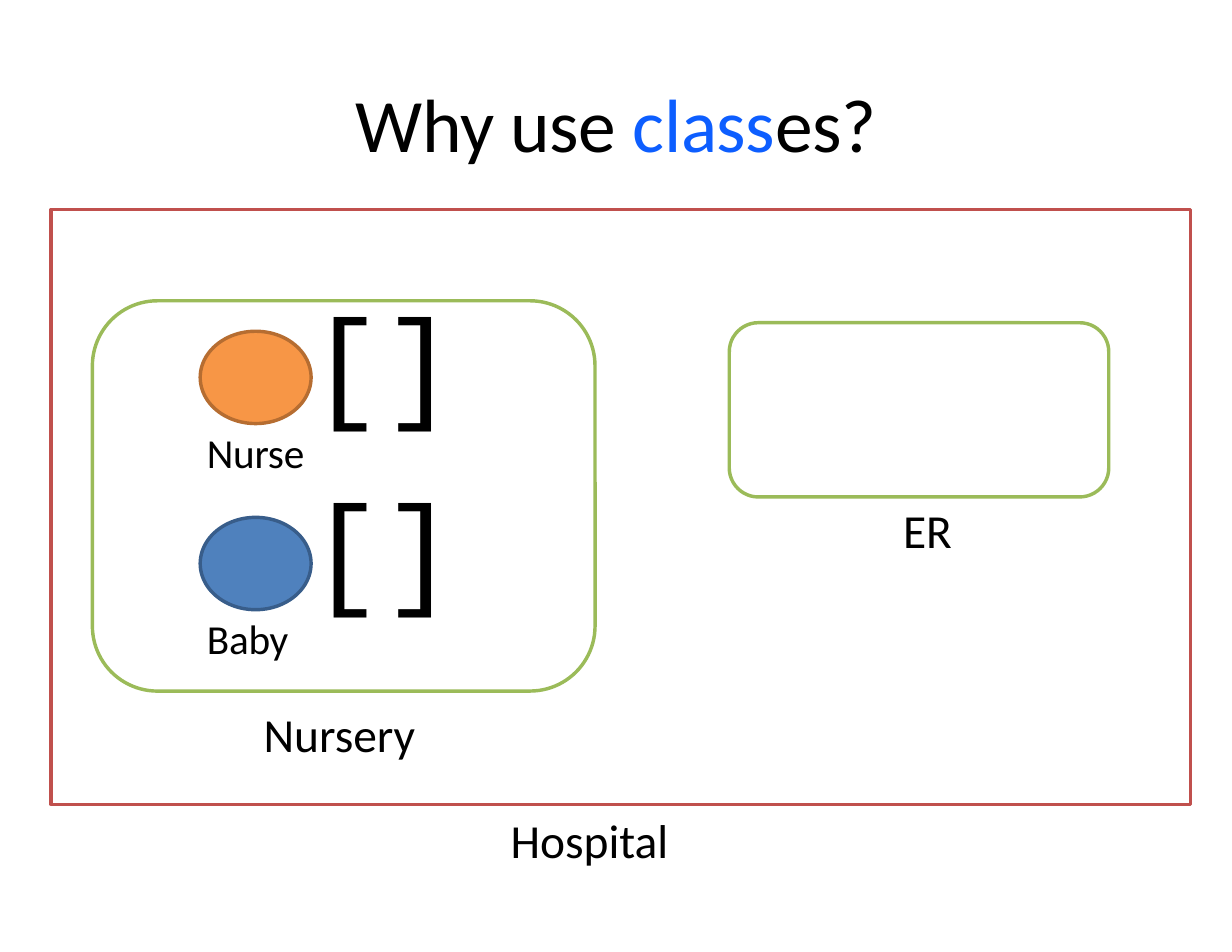
from dataclasses import dataclass

from pptx import Presentation
from pptx.dml.color import RGBColor
from pptx.enum.shapes import MSO_SHAPE
from pptx.enum.text import MSO_ANCHOR, PP_ALIGN
from pptx.util import Inches, Pt

RECTANGLE = MSO_SHAPE.RECTANGLE
ROUNDED = MSO_SHAPE.ROUNDED_RECTANGLE
OVAL = MSO_SHAPE.OVAL
TOP = MSO_ANCHOR.TOP
LEFT, CENTER = PP_ALIGN.LEFT, PP_ALIGN.CENTER

SLIDE_WIDTH, SLIDE_HEIGHT = Inches(11), Inches(8.5)


@dataclass(frozen=True)
class Theme:
    ink: str = "000000"
    keyword: str = "0D5EFF"
    hospital: str = "C0504D"
    room: str = "9BBB59"
    nurse: tuple = ("F79646", "B66D31")
    baby: tuple = ("4F81BD", "385D8A")
    font: str = "Calibri"
    code_font: str = "Courier New"
    title_size: float = 48.5
    title_leading: float = 57.7
    place_size: float = 30.5
    person_size: float = 26.5
    bracket_size: float = 79
    outline: float = 2.2


THEME = Theme()


def place(left, top, width, height):
    """Turn percentages of the slide's size into lengths."""
    return (
        int(SLIDE_WIDTH * left / 100),
        int(SLIDE_HEIGHT * top / 100),
        int(SLIDE_WIDTH * width / 100),
        int(SLIDE_HEIGHT * height / 100),
    )


def add_outline(slide, kind, box, line, fill=None):
    shape = slide.shapes.add_shape(kind, *place(*box))
    shape.shadow.inherit = False
    if fill:
        shape.fill.solid()
        shape.fill.fore_color.rgb = RGBColor.from_string(fill)
    else:
        shape.fill.background()
    shape.line.color.rgb = RGBColor.from_string(line)
    shape.line.width = Pt(THEME.outline)


def add_text(slide, box, runs, size, font=THEME.font, align=LEFT, tracking=0):
    """Add one line of (text, colour) runs; tracking is in points."""
    frame = slide.shapes.add_textbox(*place(*box)).text_frame
    frame.word_wrap = True
    frame.vertical_anchor = TOP
    frame.margin_left = frame.margin_right = 0
    frame.margin_top = frame.margin_bottom = 0
    paragraph = frame.paragraphs[0]
    paragraph.alignment = align
    for text, color in runs:
        run = paragraph.add_run()
        run.text = text
        run.font.name = font
        run.font.size = Pt(size)
        run.font.color.rgb = RGBColor.from_string(color)
        if tracking:
            run.font._element.set("spc", str(round(tracking * 100)))
    return paragraph


def add_title(slide):
    runs = [("Why use ", THEME.ink), ("class", THEME.keyword), ("es?", THEME.ink)]
    title = add_text(slide, (12.5, 8.2, 75, 9.3), runs, THEME.title_size,
                     align=CENTER, tracking=-0.28)
    title.line_spacing = Pt(THEME.title_leading)


def add_place(slide, kind, box, color, name, label_box):
    add_outline(slide, kind, box, color)
    add_text(slide, label_box, [(name, THEME.ink)], THEME.place_size)


def add_person_list(slide, top, name, colors):
    """Add a person's oval, its name below and an empty list beside it."""
    fill, line = colors
    add_outline(slide, OVAL, (16.25, top, 9, 9.7), line, fill)
    add_text(slide, (16.8, top + 10.1, 9.5, 5.2), [(name, THEME.ink)],
             THEME.person_size, tracking=-0.2)
    add_text(slide, (25.1, top - 5.05, 12.3, 14.7), [("[]", THEME.ink)],
             THEME.bracket_size, THEME.code_font)


def main():
    deck = Presentation()
    deck.slide_width, deck.slide_height = SLIDE_WIDTH, SLIDE_HEIGHT
    slide = deck.slides.add_slide(deck.slide_layouts[6])

    add_title(slide)
    places = [
        (RECTANGLE, (4.15, 22, 92.5, 62.5), THEME.hospital,
         "Hospital", (41.45, 85.2, 16, 6)),
        (ROUNDED, (59.2, 33.9, 30.8, 18.3), THEME.room,
         "ER", (73.3, 52.6, 5, 6)),
        (ROUNDED, (7.5, 31.6, 40.8, 41), THEME.room,
         "Nursery", (21.4, 74.1, 14, 6)),
    ]
    for kind, box, color, name, label_box in places:
        add_place(slide, kind, box, color, name, label_box)

    first_row, row_pitch = 34.8, 19.55
    people = [("Nurse", THEME.nurse), ("Baby", THEME.baby)]
    for row, (name, colors) in enumerate(people):
        add_person_list(slide, first_row + row * row_pitch, name, colors)

    deck.save("out.pptx")


if __name__ == "__main__":
    main()
